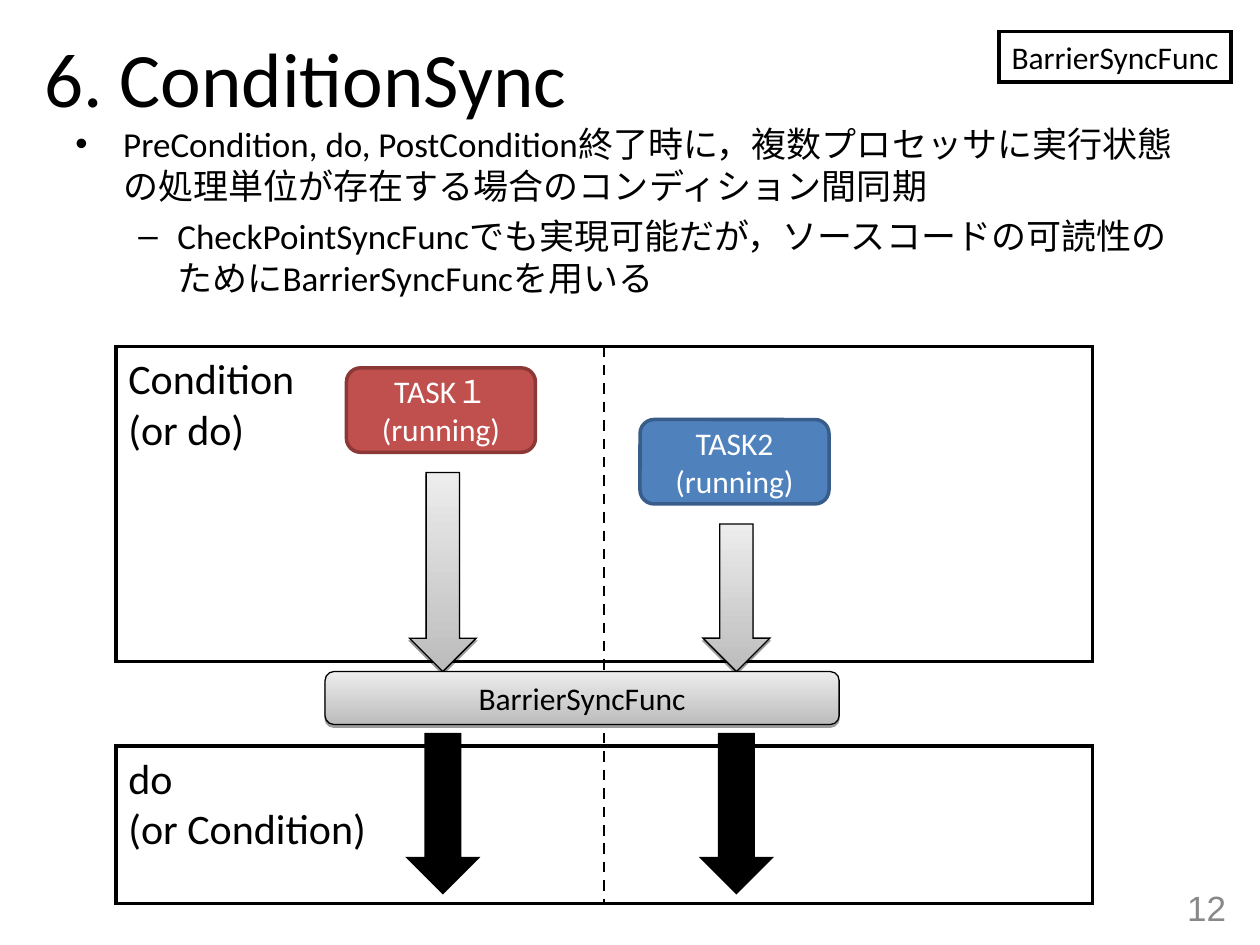
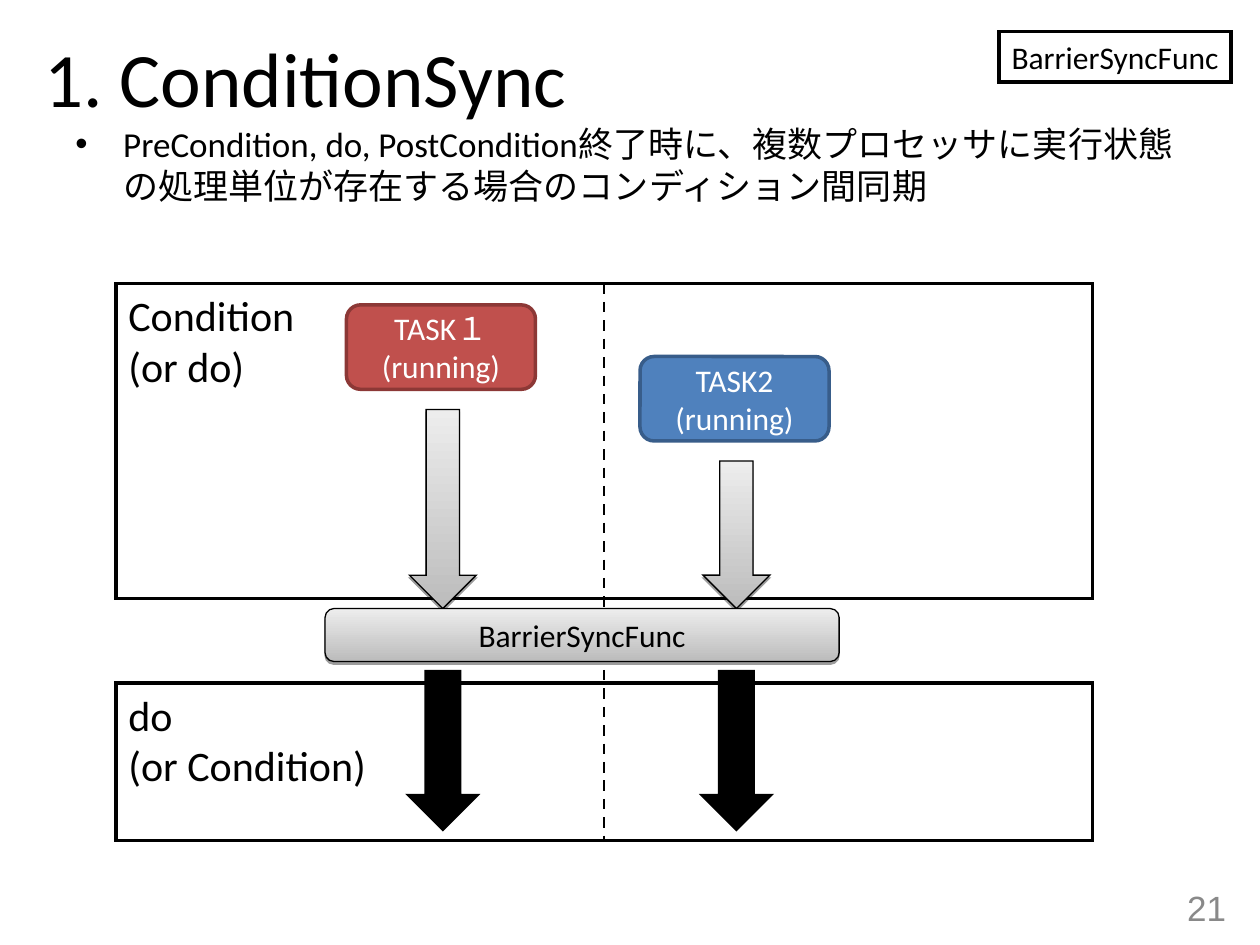
import pptx
import pptx.util
import pptx.dml.color
import pptx.enum.dml
import pptx.enum.shapes
import pptx.enum.text
import pptx.oxml.ns
from lxml import etree

Inches, Pt = pptx.util.Inches, pptx.util.Pt
RGBColor = pptx.dml.color.RGBColor
SHAPE = pptx.enum.shapes.MSO_SHAPE
ALIGN = pptx.enum.text.PP_ALIGN
ANCHOR = pptx.enum.text.MSO_ANCHOR
qn = pptx.oxml.ns.qn

# Shared colours and fonts
BLACK = RGBColor(0x00, 0x00, 0x00)
WHITE = RGBColor(0xFF, 0xFF, 0xFF)
RED = RGBColor(0xC0, 0x50, 0x4D)
DARK_RED = RGBColor(0x8C, 0x38, 0x36)
BLUE = RGBColor(0x4F, 0x81, 0xBD)
DARK_BLUE = RGBColor(0x38, 0x5D, 0x8A)
GRAY_BOTTOM = RGBColor(0xBC, 0xBC, 0xBC)
GRAY_TOP = RGBColor(0xED, 0xED, 0xED)
PAGE_GRAY = RGBColor(0x89, 0x89, 0x89)
BODY_FONT, PAGE_FONT = "Calibri", "Arial"
SYNC_NAME = "BarrierSyncFunc"

# Bullet character, left margin and hanging indent of each level
BULLETS = [("•", 0.38, 0.38), ("–", 0.81, 0.31)]


def add_run(paragraph, text, size, color=BLACK, font=BODY_FONT):
    run = paragraph.add_run()
    run.text = text
    run.font.size = Pt(size)
    run.font.name = font
    run.font.color.rgb = color


def write(shape, lines, size, color=BLACK, font=BODY_FONT,
          align=ALIGN.LEFT, anchor=ANCHOR.MIDDLE):
    frame = shape.text_frame
    frame.word_wrap = True
    frame.vertical_anchor = anchor
    for index, line in enumerate(lines):
        paragraph = frame.add_paragraph() if index else frame.paragraphs[0]
        paragraph.alignment = align
        add_run(paragraph, line, size, color, font)


def add_block(slide, kind, box, fill, line=BLACK, weight=2):
    """Preset shape with a sharp-cornered outline; fill None is set later."""
    block = slide.shapes.add_shape(kind, *map(Inches, box))
    block.shadow.inherit = False
    block.line.color.rgb = line
    block.line.width = Pt(weight)
    outline = block.element.spPr.find(qn("a:ln"))
    etree.SubElement(outline, qn("a:miter"), lim="800000")
    if fill is not None:
        block.fill.solid()
        block.fill.fore_color.rgb = fill
    return block


def add_gray_block(slide, kind, box):
    """Block with a vertical gray gradient and a thin shadow below."""
    block = add_block(slide, kind, box, None, weight=0.75)
    block.fill.gradient()
    block.fill.gradient_angle = 90
    for stop, color in zip(block.fill.gradient_stops, (GRAY_BOTTOM, GRAY_TOP)):
        stop.color.rgb = color
    effects = block.element.spPr.find(qn("a:effectLst"))
    shadow = etree.SubElement(effects, qn("a:outerShdw"), blurRad="0",
                              dist=str(Pt(1.6)), dir="5400000", rotWithShape="0")
    shade = etree.SubElement(shadow, qn("a:srgbClr"), val=str(BLACK))
    etree.SubElement(shade, qn("a:alpha"), val="38000")
    return block


def set_bullet(paragraph, level):
    char, margin, hanging = BULLETS[level]
    paragraph.level = level
    props = paragraph._p.get_or_add_pPr()
    props.set("marL", str(Inches(margin)))
    props.set("indent", str(-Inches(hanging)))
    bullet_color = etree.SubElement(props, qn("a:buClr"))
    etree.SubElement(bullet_color, qn("a:srgbClr"), val=str(BLACK))
    etree.SubElement(props, qn("a:buFont"), typeface=PAGE_FONT)
    etree.SubElement(props, qn("a:buChar"), char=char)


def add_frame(slide, heading, page):
    """Title, function label at top right and page number."""
    title = slide.shapes.title
    title.left, title.top, title.width, title.height = map(
        Inches, (0.25, 0.17, 9, 0.87))
    write(title, [heading], 44)

    # A narrow right margin keeps the label on one line
    label = add_block(slide, SHAPE.RECTANGLE, (7.93, 0.25, 1.84, 0.4), WHITE)
    write(label, [SYNC_NAME], 18, anchor=ANCHOR.TOP)
    label.text_frame.word_wrap = False
    label.text_frame.margin_right = Inches(0.02)

    number = slide.shapes.add_textbox(*map(Inches, (7.5, 7, 2.33, 0.4)))
    write(number, [page], 20, PAGE_GRAY, PAGE_FONT, ALIGN.RIGHT)


def add_explanation(slide, points, height):
    """Bulleted text, each point one level deeper than the last."""
    explanation = slide.shapes.add_textbox(
        *map(Inches, (0.5, 0.92, 9, height)))
    frame = explanation.text_frame
    frame.word_wrap = True
    for level, point in enumerate(points):
        paragraph = frame.add_paragraph() if level else frame.paragraphs[0]
        set_bullet(paragraph, level)
        if level:
            paragraph.space_before = Pt(5)
        add_run(paragraph, point, 20)


def add_sync_diagram(slide, left, top, width=7.75):
    """Two tasks meeting at a barrier between two phases."""
    # Phases
    phases = [(0, 2.5, ["Condition", "(or do)"]),
              (3.17, 1.25, ["do", "(or Condition)"])]
    for offset, height, lines in phases:
        phase = add_block(slide, SHAPE.RECTANGLE,
                          (left, top + offset, width, height), WHITE)
        write(phase, lines, 24, anchor=ANCHOR.TOP)

    # Tasks with their arrows before and after the barrier
    barrier_top = top + 2.58
    tasks = [("TASK１", 1.83, 0.17, RED, DARK_RED),
             ("TASK2", 4.16, 0.58, BLUE, DARK_BLUE)]
    for name, dx, dy, fill, line in tasks:
        task_left, task_top = left + dx, top + dy
        task = add_block(slide, SHAPE.ROUNDED_RECTANGLE,
                         (task_left, task_top, 1.5, 0.67), fill, line)
        write(task, [name, "(running)"], 18, WHITE, align=ALIGN.CENTER)
        arrow_left, arrow_top = task_left + 0.5, task_top + 0.83
        add_gray_block(slide, SHAPE.DOWN_ARROW,
                       (arrow_left, arrow_top, 0.53, barrier_top - arrow_top))
        add_block(slide, SHAPE.DOWN_ARROW,
                  (arrow_left, barrier_top + 0.5, 0.53, 1.25), BLACK)

    # Divider between the processors
    middle = Inches(left + width / 2)
    divider = slide.shapes.add_connector(
        pptx.enum.shapes.MSO_CONNECTOR.STRAIGHT,
        middle, Inches(top), middle, Inches(top + 4.42))
    divider.line.color.rgb = BLACK
    divider.line.width = Pt(1.5)
    divider.line.dash_style = pptx.enum.dml.MSO_LINE.DASH
    etree.SubElement(divider.element.spPr, qn("a:effectLst"))

    # Barrier
    barrier = add_gray_block(slide, SHAPE.ROUNDED_RECTANGLE,
                             (left + 1.66, barrier_top, 4.08, 0.42))
    write(barrier, [SYNC_NAME], 18, align=ALIGN.CENTER)


def add_sync_slide(deck, heading, page, points, text_height, diagram_top):
    slide = deck.slides.add_slide(deck.slide_layouts[5])
    add_frame(slide, heading, page)
    add_explanation(slide, points, text_height)
    add_sync_diagram(slide, 0.92, diagram_top)


def main():
    deck = pptx.Presentation()
    deck.slide_width, deck.slide_height = Inches(10), Inches(7.5)
    add_sync_slide(
        deck, "6. ConditionSync", "12",
        ["PreCondition, do, PostCondition終了時に，複数プロセッサに実行状態の"
         "処理単位が存在する場合のコンディション間同期",
         "CheckPointSyncFuncでも実現可能だが，ソースコードの可読性のために"
         "BarrierSyncFuncを用いる"],
        text_height=1.58, diagram_top=2.75)
    add_sync_slide(
        deck, "1. ConditionSync", "21",
        ["PreCondition, do, PostCondition終了時に、複数プロセッサに実行状態の"
         "処理単位が存在する場合のコンディション間同期"],
        text_height=0.83, diagram_top=2.25)
    deck.save("out.pptx")


if __name__ == "__main__":
    main()
